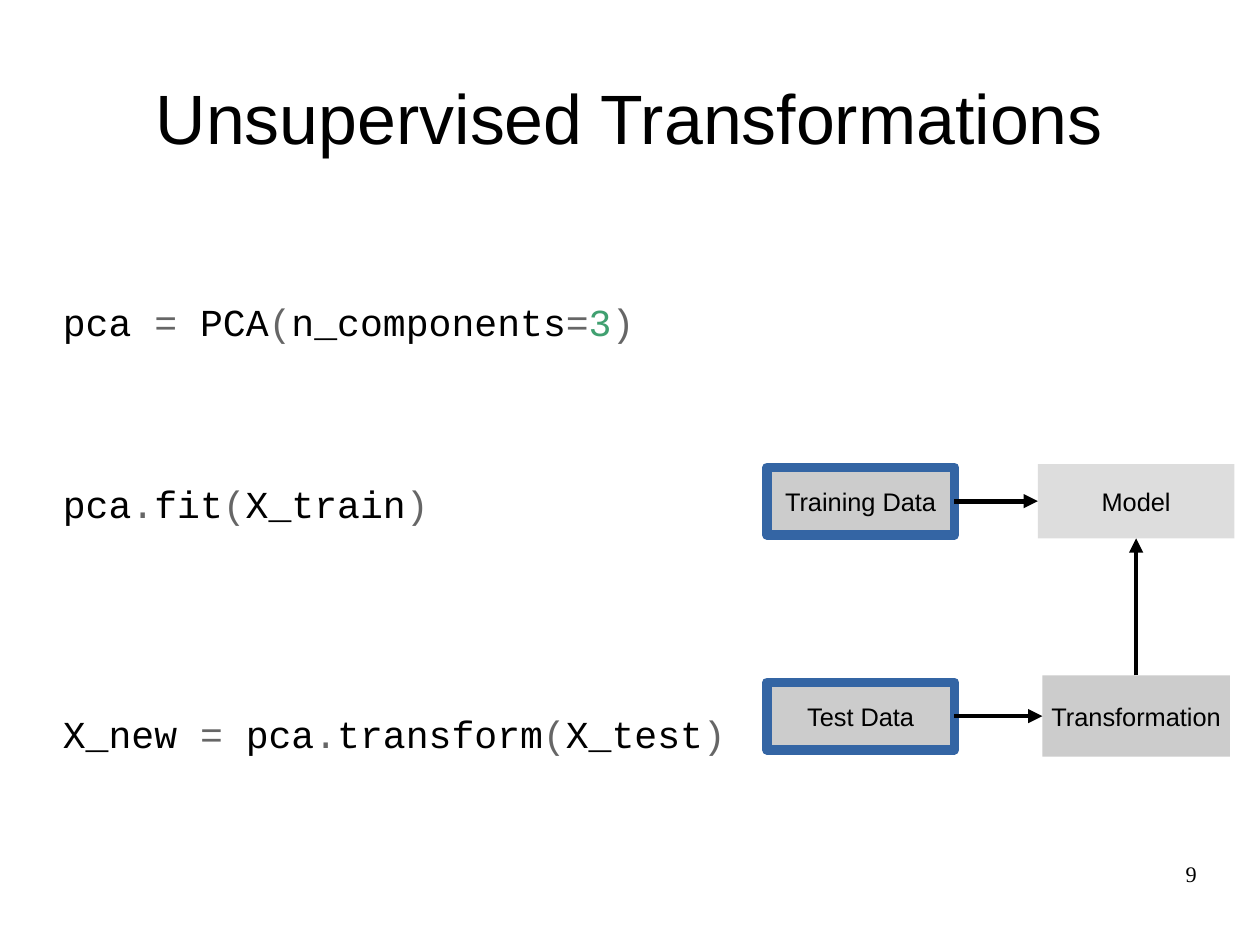
from dataclasses import dataclass
from itertools import groupby
from typing import Any

from pptx import Presentation
from pptx.dml.color import RGBColor
from pptx.enum.shapes import MSO_CONNECTOR as Connector, MSO_SHAPE as Shape
from pptx.enum.text import MSO_ANCHOR as Anchor, MSO_AUTO_SIZE as AutoSize, PP_ALIGN as Align
from pptx.oxml.ns import qn
from pptx.util import Cm, Inches, Pt


@dataclass(frozen=True)
class Theme:
    sans: str = "Arial"
    mono: str = "Courier New"
    serif: str = "Times New Roman"
    title_size: int = 44
    code_size: int = 24
    label_size: int = 16
    number_size: int = 14
    ink: str = "000000"
    operator: str = "666666"
    number: str = "40A070"
    data_fill: str = "CCCCCC"
    model_fill: str = "DDDDDD"
    border: str = "3465A4"
    border_width: int = 6
    arrow_width: int = 3


@dataclass(frozen=True)
class Box:
    label: str
    left: float
    top: float
    width: float
    height: float
    fill: str
    bordered: bool = False


@dataclass(frozen=True)
class Arrow:
    source: str
    target: str
    source_site: int
    target_site: int


@dataclass(frozen=True)
class CodeLine:
    text: str
    space_before: int


THEME = Theme()
TOP, LEFT, BOTTOM, RIGHT = range(4)

BOXES = [
    Box("Training Data", 6.71, 4.09, 1.64, 0.59, THEME.data_fill, True),
    Box("Test Data", 6.71, 5.97, 1.64, 0.59, THEME.data_fill, True),
    Box("Model", 9.08, 4.06, 1.72, 0.65, THEME.model_fill),
    Box("Transformation", 9.12, 5.91, 1.64, 0.71, THEME.data_fill),
]
ARROWS = [
    Arrow("Test Data", "Transformation", RIGHT, LEFT),
    Arrow("Transformation", "Model", TOP, BOTTOM),
    Arrow("Training Data", "Model", RIGHT, LEFT),
]
CODE = [
    CodeLine("pca = PCA(n_components=3)", 0),
    CodeLine("pca.fit(X_train)", 86),
    CodeLine("X_new = pca.transform(X_test)", 116),
]


def apply_format(target: Any, values: dict[str, Any]) -> None:
    for name, value in values.items():
        setattr(target, name, value)


def place(shape: Any, left: float, top: float, width: float, height: float) -> None:
    apply_format(shape, {
        "left": Inches(left), "top": Inches(top),
        "width": Inches(width), "height": Inches(height),
    })


def format_frame(frame: Any, anchor: Any, wrap: bool = True) -> None:
    apply_format(frame, {
        "auto_size": AutoSize.NONE, "word_wrap": wrap, "vertical_anchor": anchor,
        "margin_left": 0, "margin_right": 0, "margin_top": 0, "margin_bottom": 0,
    })


def add_run(paragraph: Any, text: str, font: str, size: int, color: str = THEME.ink) -> None:
    run = paragraph.add_run()
    run.text = text
    apply_format(run.font, {"name": font, "size": Pt(size)})
    run.font.color.rgb = RGBColor.from_string(color)


def write_line(frame: Any, text: str, font: str, size: int, align: Any) -> None:
    paragraph = frame.paragraphs[0]
    paragraph.alignment = align
    add_run(paragraph, text, font, size)


def token_color(character: str) -> str:
    if character.isdigit():
        return THEME.number
    return THEME.operator if character in "=.()" else THEME.ink


def write_code(frame: Any, lines: list[CodeLine]) -> None:
    for index, line in enumerate(lines):
        paragraph = frame.add_paragraph() if index else frame.paragraphs[0]
        properties = paragraph._p.get_or_add_pPr()
        properties.set("marL", "0")
        properties.set("indent", "0")
        properties.append(properties.makeelement(qn("a:buNone"), {}))
        apply_format(paragraph, {
            "alignment": Align.LEFT, "space_before": Pt(line.space_before),
        })
        for color, characters in groupby(line.text, token_color):
            add_run(paragraph, "".join(characters), THEME.mono, THEME.code_size, color)


def add_box(slide: Any, box: Box) -> Any:
    shape = slide.shapes.add_shape(
        Shape.RECTANGLE, Inches(box.left), Inches(box.top),
        Inches(box.width), Inches(box.height),
    )
    shape.shadow.inherit = False
    shape.fill.solid()
    shape.fill.fore_color.rgb = RGBColor.from_string(box.fill)
    if box.bordered:
        shape.line.color.rgb = RGBColor.from_string(THEME.border)
        shape.line.width = Pt(THEME.border_width)
    else:
        shape.line.fill.background()
    format_frame(shape.text_frame, Anchor.MIDDLE, wrap=False)
    write_line(shape.text_frame, box.label, THEME.sans, THEME.label_size, Align.CENTER)
    return shape


def add_arrow(slide: Any, arrow: Arrow, shapes: dict[str, Any]) -> None:
    connector = slide.shapes.add_connector(Connector.STRAIGHT, 0, 0, 0, 0)
    connector.begin_connect(shapes[arrow.source], arrow.source_site)
    connector.end_connect(shapes[arrow.target], arrow.target_site)
    connector.line.color.rgb = RGBColor.from_string(THEME.ink)
    connector.line.width = Pt(THEME.arrow_width)
    line = connector.line._get_or_add_ln()
    line.append(line.makeelement(qn("a:tailEnd"), {"type": "triangle"}))
    properties = connector._element.spPr
    properties.append(properties.makeelement(qn("a:effectLst"), {}))


def main() -> None:
    presentation = Presentation()
    presentation.slide_width = Cm(28)
    presentation.slide_height = Cm(21)
    slide = presentation.slides.add_slide(presentation.slide_layouts[1])

    title, code = slide.placeholders
    place(title, 0.55, 0.33, 9.92, 1.38)
    format_frame(title.text_frame, Anchor.MIDDLE)
    write_line(title.text_frame, "Unsupervised Transformations",
               THEME.sans, THEME.title_size, Align.CENTER)

    place(code, 0.55, 2.61, 8.85, 4.1)
    format_frame(code.text_frame, Anchor.TOP)
    write_code(code.text_frame, CODE)

    shapes = {box.label: add_box(slide, box) for box in BOXES}
    for arrow in ARROWS:
        add_arrow(slide, arrow, shapes)

    page_number = slide.shapes.add_textbox(
        Inches(7.9), Inches(7.53), Inches(2.57), Inches(0.57))
    format_frame(page_number.text_frame, Anchor.TOP)
    write_line(page_number.text_frame, "9", THEME.serif, THEME.number_size, Align.RIGHT)

    presentation.save("out.pptx")


if __name__ == "__main__":
    main()
